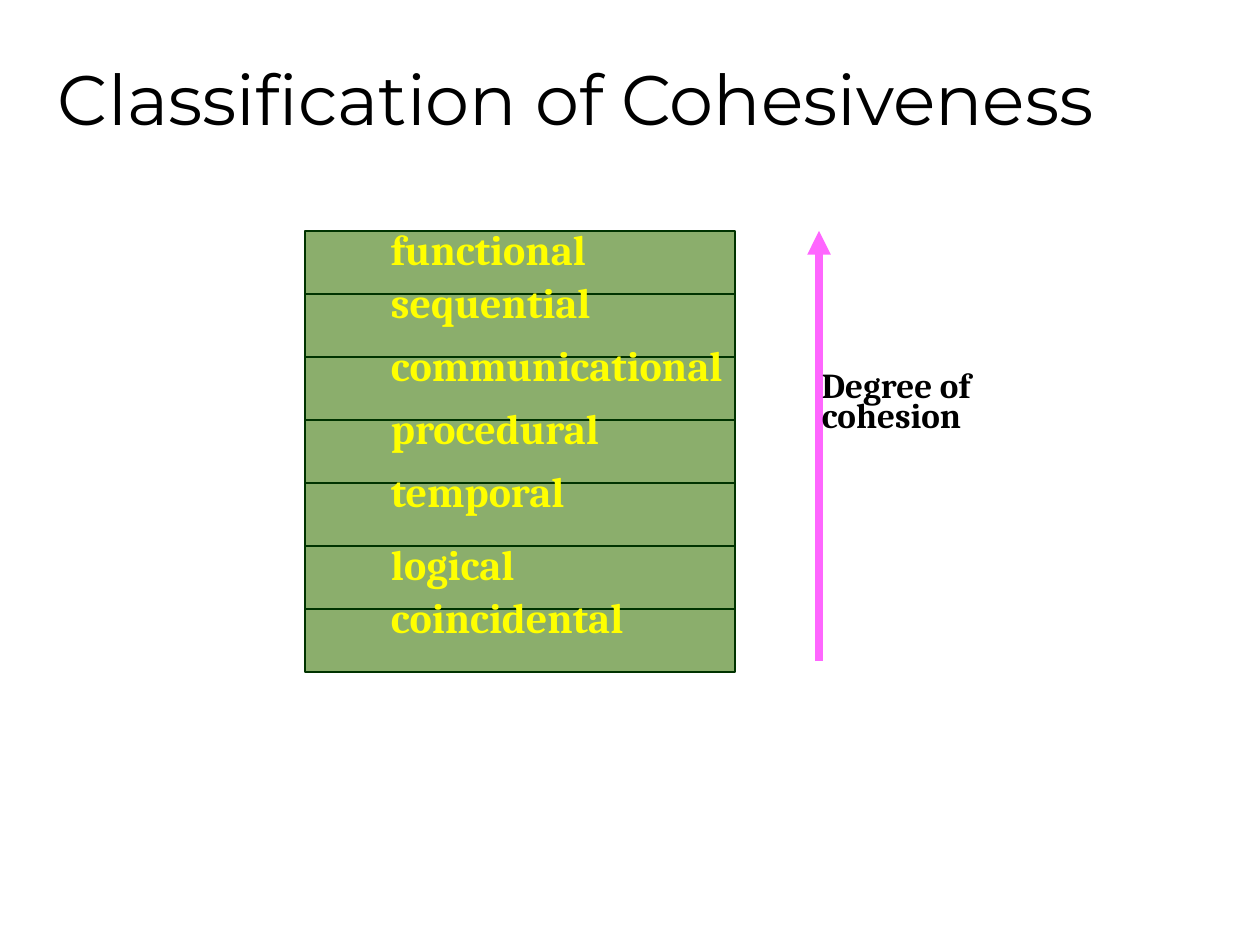
from lxml import etree
from pptx import Presentation
from pptx.dml.color import RGBColor
from pptx.enum.shapes import MSO_CONNECTOR, MSO_SHAPE
from pptx.enum.text import MSO_ANCHOR, MSO_AUTO_SIZE, PP_ALIGN
from pptx.oxml.ns import qn
from pptx.util import Emu, Pt

STRAIGHT = MSO_CONNECTOR.STRAIGHT
ROUNDED = MSO_SHAPE.ROUNDED_RECTANGLE
TOP, MIDDLE = MSO_ANCHOR.TOP, MSO_ANCHOR.MIDDLE
NO_FIT = MSO_AUTO_SIZE.NONE
LEFT = PP_ALIGN.LEFT

PX_PER_INCH = 126
COLORS = {
    "text": "000000",
    "level": "8BAE6C",
    "border": "003300",
    "label": "FFFF00",
    "arrow": "FF66FF",
}
# Each level with how far its label rises above the top of its row
LEVELS = [
    ("functional", 0),
    ("sequential", 10),
    ("communicational", 10),
    ("procedural", 10),
    ("temporal", 10),
    ("logical", 0),
    ("coincidental", 10),
]


def px(n):
    return Emu(round(n * 914400 / PX_PER_INCH))


def rgb(name):
    return RGBColor.from_string(COLORS[name])


def write(sp, text, *, size, color, font="Cambria", bold=True,
          line=0.72, before=0, anchor=TOP):
    """Fill a shape with one left-aligned paragraph; a newline breaks the line."""
    tf = sp.text_frame
    tf.word_wrap = True
    tf.auto_size = NO_FIT
    tf.vertical_anchor = anchor
    tf.margin_left = tf.margin_right = px(3)
    tf.margin_top = tf.margin_bottom = px(6)
    p = tf.paragraphs[0]
    p.text = text.replace("\n", "\v")
    p.alignment = LEFT
    p.line_spacing = line
    p.space_before = Pt(before)
    for r in p.runs:
        r.font.name = font
        r.font.size = Pt(size)
        r.font.bold = bold
        r.font.color.rgb = rgb(color)
    return p


def add_title(slide, x, y, w, h):
    sp = slide.shapes.title
    sp.left, sp.top, sp.width, sp.height = px(x), px(y), px(w), px(h)
    p = write(sp, "Classification of Cohesiveness", size=40, color="text",
              font="Montserrat", bold=False, line=0.85, before=9.9,
              anchor=MIDDLE)
    pPr = p._p.get_or_add_pPr()
    pPr.set("marL", str(px(48)))
    pPr.set("indent", str(-px(48)))


def add_levels(slide, x, y, w, h):
    """Stack the cohesion levels, best on top, in rows of equal height."""
    row = h / len(LEVELS)
    for i in range(len(LEVELS)):
        s = slide.shapes.add_shape(ROUNDED, px(x), px(y + i * row), px(w), px(row))
        s.adjustments[0] = 0
        s.shadow.inherit = False
        s.fill.solid()
        s.fill.fore_color.rgb = rgb("level")
        s.line.color.rgb = rgb("border")
        s.line.width = Pt(0.75)
    for i, (name, rise) in enumerate(LEVELS):
        box = slide.shapes.add_textbox(px(x + 83), px(y + i * row - rise),
                                       px(367), px(row))
        write(box, name, size=24, color="label", before=13.7)


def add_degree_arrow(slide, x, y, w, h):
    """Draw the upward arrow on the left edge of the box, with its caption."""
    arrow = slide.shapes.add_connector(STRAIGHT, px(x), px(y + h), px(x), px(y))
    arrow.line.color.rgb = rgb("arrow")
    arrow.line.width = Pt(4.5)
    etree.SubElement(arrow.line._get_or_add_ln(), qn("a:tailEnd"), type="triangle")
    etree.SubElement(arrow._element.spPr, qn("a:effectLst"))
    box = slide.shapes.add_textbox(px(x), px(y + 137), px(w), px(96))
    write(box, "Degree of\ncohesion", size=20, color="text", before=11.4)


def main():
    prs = Presentation()
    prs.slide_width, prs.slide_height = px(1260), px(945)
    slide = prs.slides.add_slide(prs.slide_layouts.get_by_name("Title Only"))
    add_title(slide, 55, 25, 1071, 158)
    add_levels(slide, 305, 231, 430, 441)
    add_degree_arrow(slide, 819, 231, 367, 430)
    prs.save("out.pptx")


if __name__ == "__main__":
    main()
